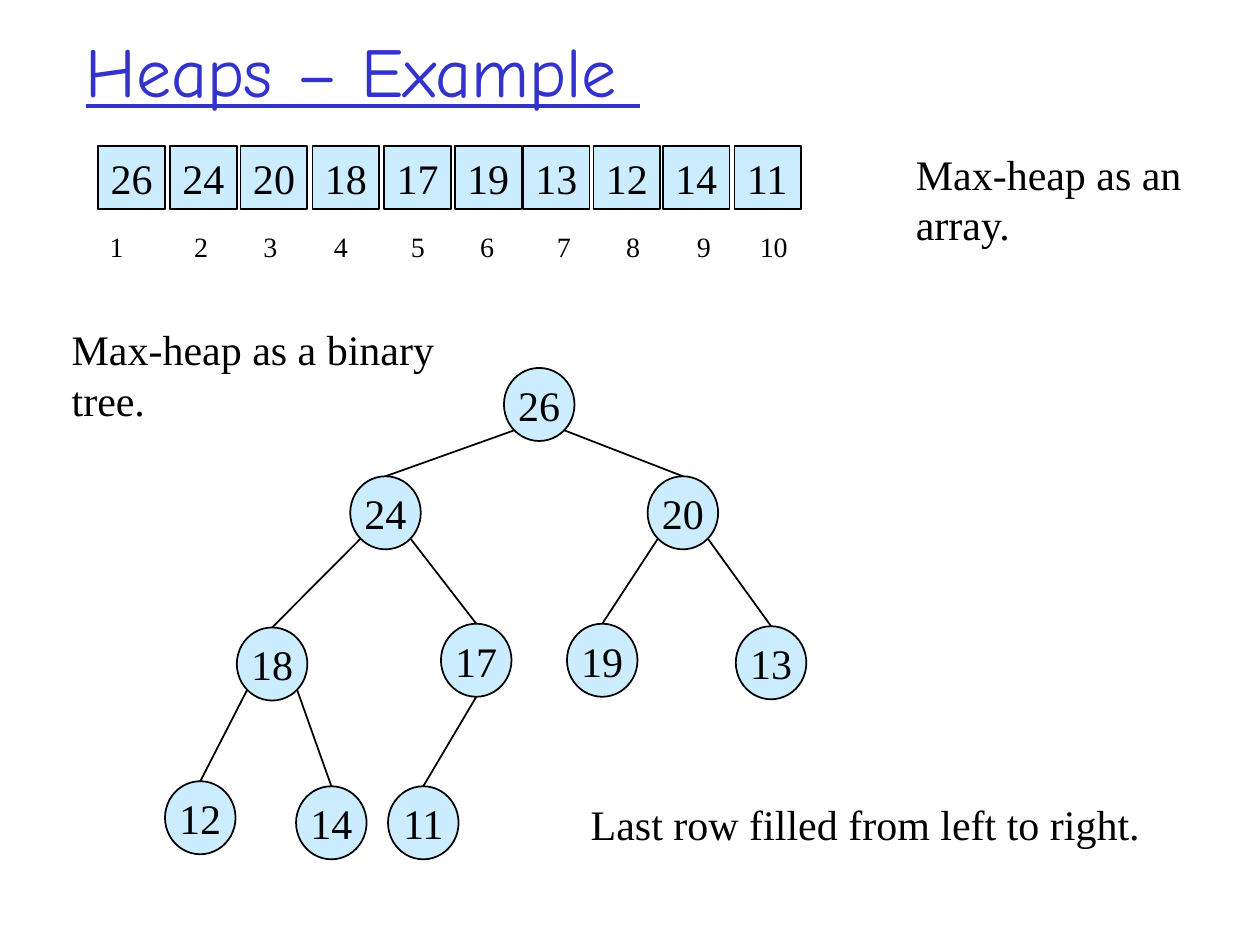
import math
from dataclasses import dataclass
from typing import Optional

import pptx
import pptx.dml.color
import pptx.enum.shapes
import pptx.enum.text
import pptx.oxml
import pptx.oxml.ns
import pptx.util

Inches = pptx.util.Inches
Shape = pptx.enum.shapes.MSO_SHAPE
Anchor = pptx.enum.text.MSO_ANCHOR
Align = pptx.enum.text.PP_ALIGN
AutoSize = pptx.enum.text.MSO_AUTO_SIZE

COLORS = {"title": "3333CC", "text": "000000", "fill": "CCECFF", "line": "000000"}
TITLE_FONT = "Comic Neue"
BODY_FONT = "Times New Roman"
NODE_WIDTH, NODE_HEIGHT = 0.56, 0.58
CELL_TOP, CELL_WIDTH, CELL_HEIGHT = 1.16, 0.53, 0.5


@dataclass
class Node:
    """A tree node; side is where its edge leaves the parent (-1 left, 0 bottom, 1 right)."""
    value: int
    left: float
    top: float
    parent: Optional[int] = None
    side: int = 0


@dataclass
class Note:
    lines: list[str]
    left: float
    top: float
    width: float
    height: float


HEAP = [
    Node(26, 4.0, 2.92),
    Node(24, 2.78, 3.78, 0, -1),
    Node(20, 5.14, 3.78, 0, 1),
    Node(18, 1.88, 4.98, 1, -1),
    Node(17, 3.5, 4.95, 1, 1),
    Node(19, 4.5, 4.95, 2, -1),
    Node(13, 5.84, 4.97, 2, 1),
    Node(12, 1.31, 6.2, 3, -1),
    Node(14, 2.35, 6.24, 3, 1),
    Node(11, 3.08, 6.24, 4, 0),
]
CELL_LEFTS = [0.78, 1.35, 1.91, 2.48, 3.05, 3.61, 4.15, 4.71, 5.26, 5.83]
INDEX_TABS = [0.67, 1.22, 1.78, 2.39, 2.94, 3.55, 4.1, 4.66, 5.16]
NOTES = [
    Note(["Max-heap as an", "array."], 7.17, 1.13, 2.31, 0.9),
    Note(["Max-heap as a binary", "tree."], 0.47, 2.52, 3.08, 0.9),
    Note(["Last row filled from left to right."], 4.59, 6.29, 4.56, 0.5),
]


def rgb(name: str) -> pptx.dml.color.RGBColor:
    return pptx.dml.color.RGBColor.from_string(COLORS[name])


def add_run(paragraph, text: str, size: float = 24, font: str = BODY_FONT, color: str = "text"):
    run = paragraph.add_run()
    run.text = text
    run.font.size = pptx.util.Pt(size)
    run.font.name = font
    run.font.color.rgb = rgb(color)
    return run


def add_title(slide, text: str) -> None:
    title = slide.shapes.title
    title.left, title.top = Inches(0.58), Inches(0.25)
    title.width, title.height = Inches(8.5), Inches(0.6)
    frame = title.text_frame
    frame.auto_size = AutoSize.NONE
    frame.vertical_anchor = Anchor.MIDDLE
    paragraph = frame.paragraphs[0]
    paragraph.alignment = Align.LEFT
    add_run(paragraph, text, 40, TITLE_FONT, "title").font.underline = True


def add_value_shape(shapes, kind, value: int, left: float, top: float, width: float,
                    height: float, anchor, alignment):
    shape = shapes.add_shape(kind, Inches(left), Inches(top), Inches(width), Inches(height))
    shape.shadow.inherit = False
    shape.fill.solid()
    shape.fill.fore_color.rgb = rgb("fill")
    shape.line.color.rgb = rgb("line")
    shape.line.width = pptx.util.Pt(1)
    frame = shape.text_frame
    frame.word_wrap = False
    frame.vertical_anchor = anchor
    frame.paragraphs[0].alignment = alignment
    add_run(frame.paragraphs[0], str(value))
    return shape


def add_array(slide) -> None:
    group = slide.shapes.add_group_shape()
    for node, left in zip(HEAP, CELL_LEFTS):
        add_value_shape(group.shapes, Shape.RECTANGLE, node.value, left, CELL_TOP,
                        CELL_WIDTH, CELL_HEIGHT, Anchor.TOP, Align.LEFT)


def add_indices(slide) -> None:
    """One line of positions under the array, spaced with tab stops."""
    box = slide.shapes.add_textbox(Inches(0.72), Inches(1.77), Inches(6.22), Inches(0.37))
    box.text_frame.word_wrap = True
    box.text_frame.margin_left = Inches(0.15)
    paragraph = box.text_frame.paragraphs[0]
    properties = paragraph._p.get_or_add_pPr()
    tab_list = pptx.oxml.parse_xml(f'<a:tabLst {pptx.oxml.ns.nsdecls("a")}/>')
    for position in INDEX_TABS:
        tab = tab_list.makeelement(pptx.oxml.ns.qn("a:tab"),
                                   {"pos": str(Inches(position)), "algn": "l"})
        tab_list.append(tab)
    properties.append(tab_list)
    add_run(paragraph, "\t".join(str(i) for i in range(1, len(HEAP) + 1)), 16)


def add_node(shapes, node: Node):
    return add_value_shape(shapes, Shape.OVAL, node.value, node.left, node.top,
                           NODE_WIDTH, NODE_HEIGHT, Anchor.MIDDLE, Align.CENTER)


def add_edge(shapes, parent: Node, child: Node, child_shape) -> None:
    """Line from the parent's lower rim to the top of the child."""
    angle = child.side * math.pi / 4
    start_x = parent.left + NODE_WIDTH / 2 * (1 + math.sin(angle))
    start_y = parent.top + NODE_HEIGHT / 2 * (1 + math.cos(angle))
    edge = shapes.add_connector(pptx.enum.shapes.MSO_CONNECTOR.STRAIGHT,
                                Inches(start_x), Inches(start_y),
                                Inches(child.left + NODE_WIDTH / 2), Inches(child.top))
    edge.end_connect(child_shape, 0)
    edge.line.color.rgb = rgb("line")
    edge.line.width = pptx.util.Pt(1)
    properties = edge._element.spPr
    properties.append(properties.makeelement(pptx.oxml.ns.qn("a:effectLst"), {}))


def add_tree(slide) -> None:
    """The root, then one group of children and edges for each parent."""
    add_node(slide.shapes, HEAP[0])
    for index, parent in enumerate(HEAP):
        children = [node for node in HEAP if node.parent == index]
        if not children:
            continue
        shapes = slide.shapes.add_group_shape().shapes
        child_shapes = [add_node(shapes, child) for child in children]
        for child, child_shape in zip(children, child_shapes):
            add_edge(shapes, parent, child, child_shape)


def add_note(slide, note: Note) -> None:
    box = slide.shapes.add_textbox(Inches(note.left), Inches(note.top),
                                   Inches(note.width), Inches(note.height))
    frame = box.text_frame
    frame.word_wrap = False
    for number, line in enumerate(note.lines):
        paragraph = frame.add_paragraph() if number else frame.paragraphs[0]
        add_run(paragraph, line)


def main() -> None:
    presentation = pptx.Presentation()
    presentation.slide_width, presentation.slide_height = Inches(10), Inches(7.5)
    slide = presentation.slides.add_slide(presentation.slide_layouts[5])
    add_title(slide, "Heaps – Example ")
    add_array(slide)
    add_indices(slide)
    add_tree(slide)
    for note in NOTES:
        add_note(slide, note)
    presentation.save("out.pptx")


if __name__ == "__main__":
    main()
